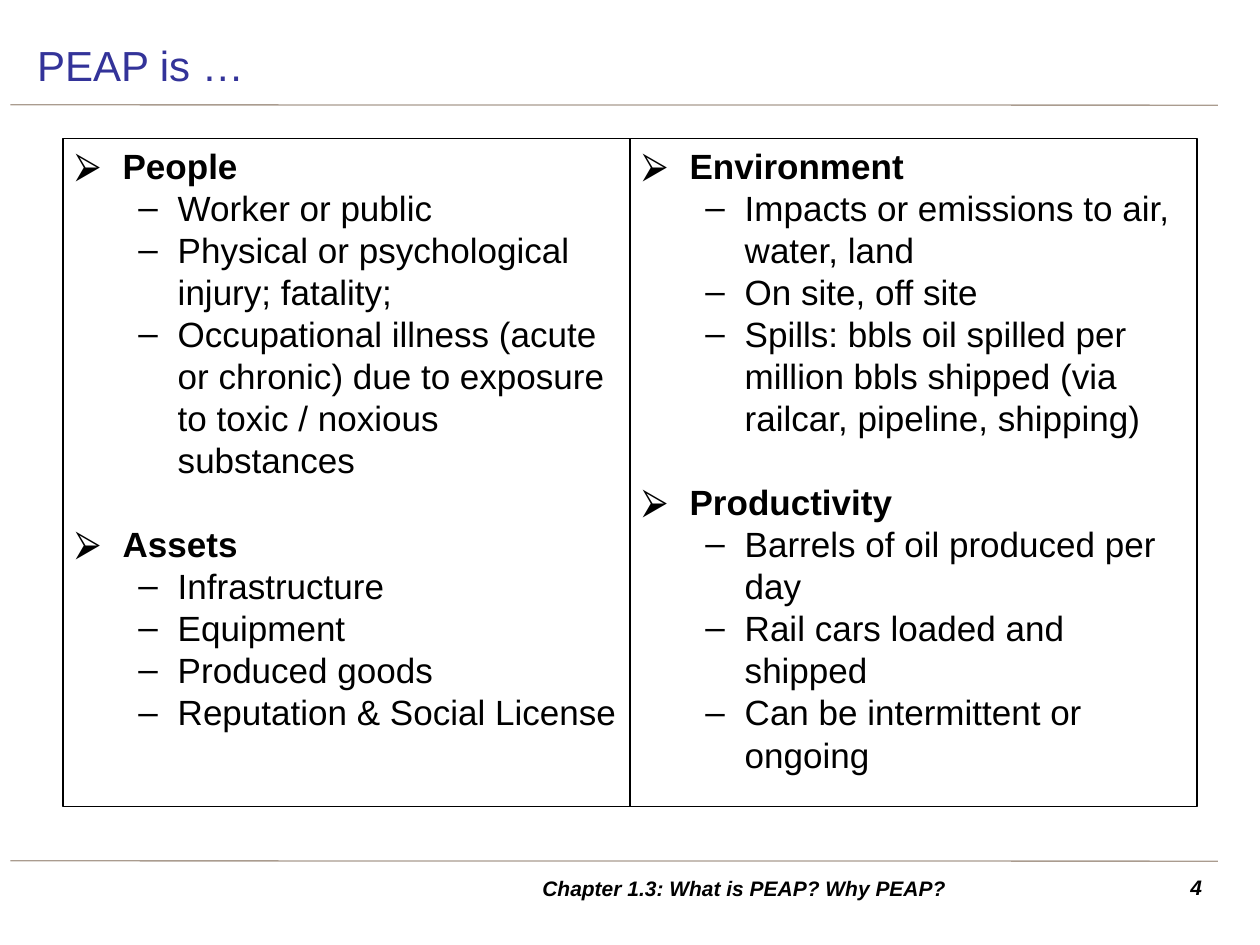
from pptx import Presentation
from pptx.dml.color import RGBColor
from pptx.enum.shapes import MSO_CONNECTOR as CONN, MSO_SHAPE as SHAPE
from pptx.enum.text import MSO_ANCHOR as ANCHOR, PP_ALIGN as ALIGN
from pptx.oxml.ns import qn
from pptx.util import Pt
from lxml import etree

COLORS = {"title": "333399", "text": "000000", "rule": "AA9C8F", "panel": "FFFFFF"}
BULLETS = [("⮚", 27, -27), ("–", 58.5, -22.5)]
PANELS = [
    [
        ("People", [
            "Worker or public",
            "Physical or psychological injury; fatality;",
            "Occupational illness (acute or chronic) due to exposure to toxic / noxious substances",
        ]),
        ("Assets", [
            "Infrastructure",
            "Equipment",
            "Produced goods",
            "Reputation & Social License",
        ]),
    ],
    [
        ("Environment", [
            "Impacts or emissions to air, water, land",
            "On site, off site",
            "Spills: bbls oil spilled per million bbls shipped (via railcar, pipeline, shipping)",
        ]),
        ("Productivity", [
            "Barrels of oil produced per day",
            "Rail cars loaded and shipped",
            "Can be intermittent or ongoing",
        ]),
    ],
]


def write(tf, text, size=20, color="text", bold=False, italic=False,
          align=ALIGN.LEFT, level=None, before=0):
    p = tf.paragraphs[0]
    if p.runs:
        p = tf.add_paragraph()
    p.alignment = align
    if level is not None:
        char, left, indent = BULLETS[level]
        p.level = level
        if before:
            p.space_before = Pt(before)
        pPr = p._p.get_or_add_pPr()
        pPr.set("marL", str(Pt(left)))
        pPr.set("indent", str(Pt(indent)))
        buClr = etree.SubElement(pPr, qn("a:buClr"))
        etree.SubElement(buClr, qn("a:srgbClr"), val=COLORS[color])
        etree.SubElement(pPr, qn("a:buFont"), typeface="Arial")
        etree.SubElement(pPr, qn("a:buChar"), char=char)
    r = p.add_run()
    r.text = text
    r.font.name = "Arial"
    r.font.size = Pt(size)
    r.font.bold = bold
    r.font.italic = italic
    r.font.color.rgb = RGBColor.from_string(COLORS[color])


prs = Presentation()
prs.slide_width, prs.slide_height = Pt(720), Pt(540)
s = prs.slides.add_slide(prs.slide_layouts[5])

for y in (59.9, 491.9):
    rule = s.shapes.add_connector(CONN.STRAIGHT, Pt(6), Pt(y), Pt(696), Pt(y + 0.2))
    rule.line.color.rgb = RGBColor.from_string(COLORS["rule"])
    rule.line.width = Pt(0.75)
    etree.SubElement(rule._element.spPr, qn("a:effectLst"))

title = s.shapes.title
title.left, title.top, title.width, title.height = Pt(14), Pt(17.5), Pt(680), Pt(39.5)
title.text_frame.vertical_anchor = ANCHOR.MIDDLE
write(title.text_frame, "PEAP is …", size=24, color="title")

for text, x, w, align, anchor in [
    ("4", 652.5, 41.5, ALIGN.RIGHT, ANCHOR.TOP),
    ("Chapter 1.3: What is PEAP? Why PEAP?", 212.5, 425.5, ALIGN.CENTER, ANCHOR.MIDDLE),
]:
    tf = s.shapes.add_textbox(Pt(x), Pt(496), Pt(w), Pt(22.5)).text_frame
    tf.word_wrap = True
    tf.vertical_anchor = anchor
    write(tf, text, size=12, bold=True, italic=True, align=align)

for i, groups in enumerate(PANELS):
    sp = s.shapes.add_shape(SHAPE.RECTANGLE, Pt(36 + 324 * i), Pt(79.2), Pt(324), Pt(381.6))
    sp.shadow.inherit = False
    sp.fill.solid()
    sp.fill.fore_color.rgb = RGBColor.from_string(COLORS["panel"])
    fill = sp._element.spPr.find(qn("a:solidFill"))
    etree.SubElement(fill[0], qn("a:alpha"), val="70000")
    sp.line.color.rgb = RGBColor.from_string(COLORS["text"])
    sp.line.width = Pt(0.75)
    tf = sp.text_frame
    tf.word_wrap = True
    tf.vertical_anchor = ANCHOR.TOP
    for j, (heading, items) in enumerate(groups):
        write(tf, heading, bold=True, level=0, before=24 * j)
        for item in items:
            write(tf, item, level=1)

prs.save("out.pptx")
